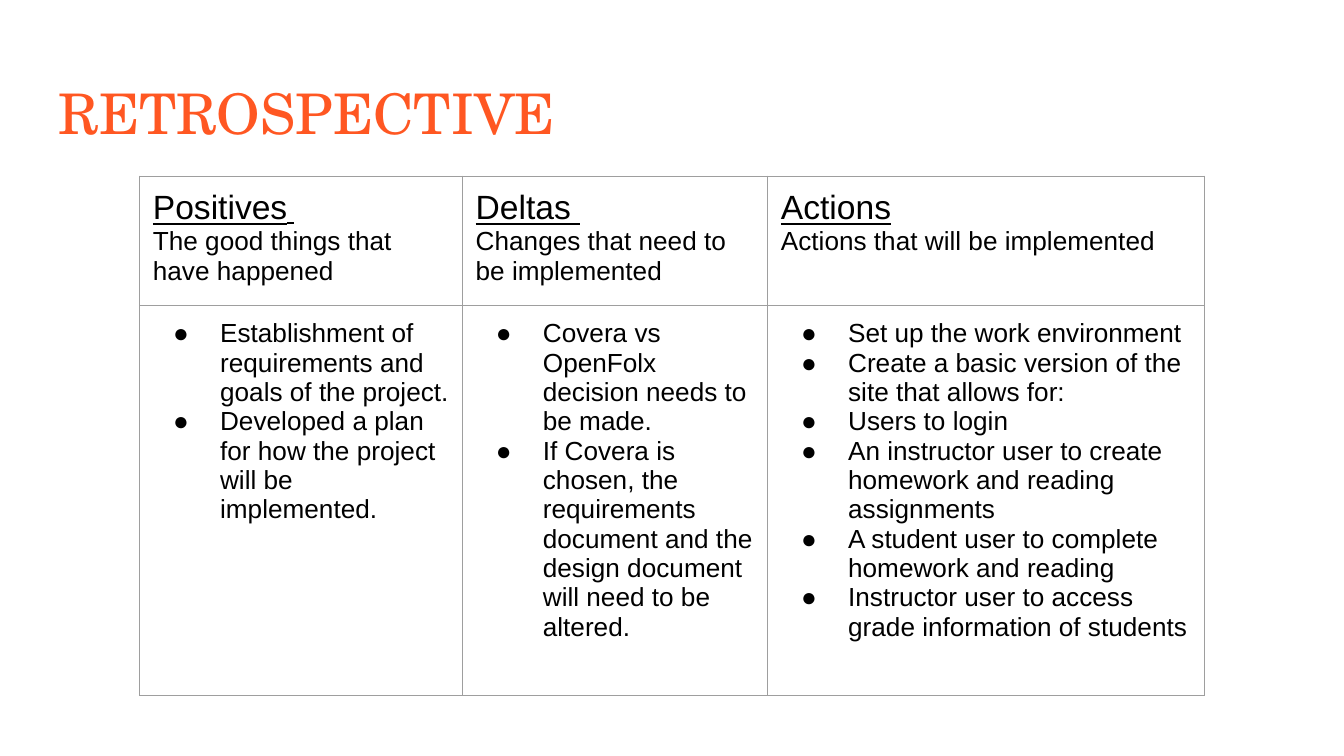
from dataclasses import dataclass

from lxml.etree import SubElement
from pptx import Presentation
from pptx.dml.color import RGBColor
from pptx.enum.text import MSO_ANCHOR
from pptx.oxml import parse_xml
from pptx.oxml.ns import nsdecls, qn
from pptx.util import Cm, Pt

ORANGE, BLACK, GREY = "FF5722", "000000", "9E9E9E"
INSET = Cm(0.25)
ROW_HEIGHTS = (2.39, 7.37)


@dataclass
class Column:
    width: float
    heading: str
    gap: str
    gap_size: int
    summary: str
    items: tuple[str, ...]


COLUMNS = (
    Column(6.1, "Positives", " ", 14, "The good things that have happened", (
        "Establishment of requirements and goals of the project.",
        "Developed a plan for how the project will be implemented.",
    )),
    Column(5.77, "Deltas", " ", 18, "Changes that need to be implemented", (
        "Covera vs OpenFolx decision needs to be made.",
        "If Covera is chosen, the requirements document and the design "
        "document will need to be altered.",
    )),
    Column(8.26, "Actions", "", 18, "Actions that will be implemented", (
        "Set up the work environment",
        "Create a basic version of the site that allows for:",
        "Users to login",
        "An instructor user to create homework and reading assignments",
        "A student user to complete homework and reading",
        "Instructor user to access grade information of students",
    )),
)


def color(value: str) -> RGBColor:
    return RGBColor.from_string(value)


def add_run(paragraph, text: str, size: int = 14, underline: bool = False,
            font: str = "Arial", fill: str = BLACK) -> None:
    run = paragraph.add_run()
    run.text = text
    run.font.size = Pt(size)
    run.font.name = font
    run.font.underline = underline
    run.font.color.rgb = color(fill)


def set_insets(holder) -> None:
    holder.margin_left = holder.margin_right = INSET
    holder.margin_top = holder.margin_bottom = INSET


def set_bullet(paragraph) -> None:
    properties = paragraph._p.get_or_add_pPr()
    properties.set("marL", str(Cm(1.27)))
    properties.set("indent", str(Cm(-0.89)))
    SubElement(properties, qn("a:buFont"), typeface="Arial")
    SubElement(properties, qn("a:buChar"), char="●")


def style_cell(cell) -> None:
    """Clear the fill, set the insets and draw all four borders."""
    set_insets(cell)
    cell.vertical_anchor = MSO_ANCHOR.TOP
    cell.fill.background()
    properties = cell._tc.get_or_add_tcPr()
    for position, side in enumerate(("lnL", "lnR", "lnT", "lnB")):
        properties.insert(position, parse_xml(
            f'<a:{side} {nsdecls("a")} w="{Pt(0.75)}"><a:solidFill>'
            f'<a:srgbClr val="{GREY}"/></a:solidFill></a:{side}>'))


def add_title(slide, text: str) -> None:
    box = slide.shapes.add_textbox(Cm(0.86), Cm(1.24), Cm(23.67), Cm(1.6))
    frame = box.text_frame
    frame.word_wrap = True
    set_insets(frame)
    add_run(frame.paragraphs[0], text, 30, font="TeX Gyre Schola", fill=ORANGE)


def fill_heading(cell, column: Column) -> None:
    frame = cell.text_frame
    heading = frame.paragraphs[0]
    add_run(heading, column.heading, 18, underline=True)
    if column.gap:
        add_run(heading, column.gap, column.gap_size, underline=True)
    add_run(frame.add_paragraph(), column.summary)


def fill_items(cell, items: tuple[str, ...]) -> None:
    frame = cell.text_frame
    for index, item in enumerate(items):
        paragraph = frame.add_paragraph() if index else frame.paragraphs[0]
        set_bullet(paragraph)
        add_run(paragraph, item)


def add_retrospective_table(slide) -> None:
    width = sum(column.width for column in COLUMNS)
    table = slide.shapes.add_table(
        len(ROW_HEIGHTS), len(COLUMNS),
        Cm(2.64), Cm(3.33), Cm(width), Cm(sum(ROW_HEIGHTS))).table
    table.first_row = table.horz_banding = False
    for row, height in zip(table.rows, ROW_HEIGHTS):
        row.height = Cm(height)
    for index, column in enumerate(COLUMNS):
        table.columns[index].width = Cm(column.width)
        fill_heading(table.cell(0, index), column)
        fill_items(table.cell(1, index), column.items)
    for cell in table.iter_cells():
        style_cell(cell)


def main() -> None:
    presentation = Presentation()
    presentation.slide_width = Cm(25.4)
    presentation.slide_height = Cm(14.29)
    slide = presentation.slides.add_slide(presentation.slide_layouts[6])
    add_title(slide, "RETROSPECTIVE")
    add_retrospective_table(slide)
    presentation.save("out.pptx")


if __name__ == "__main__":
    main()
